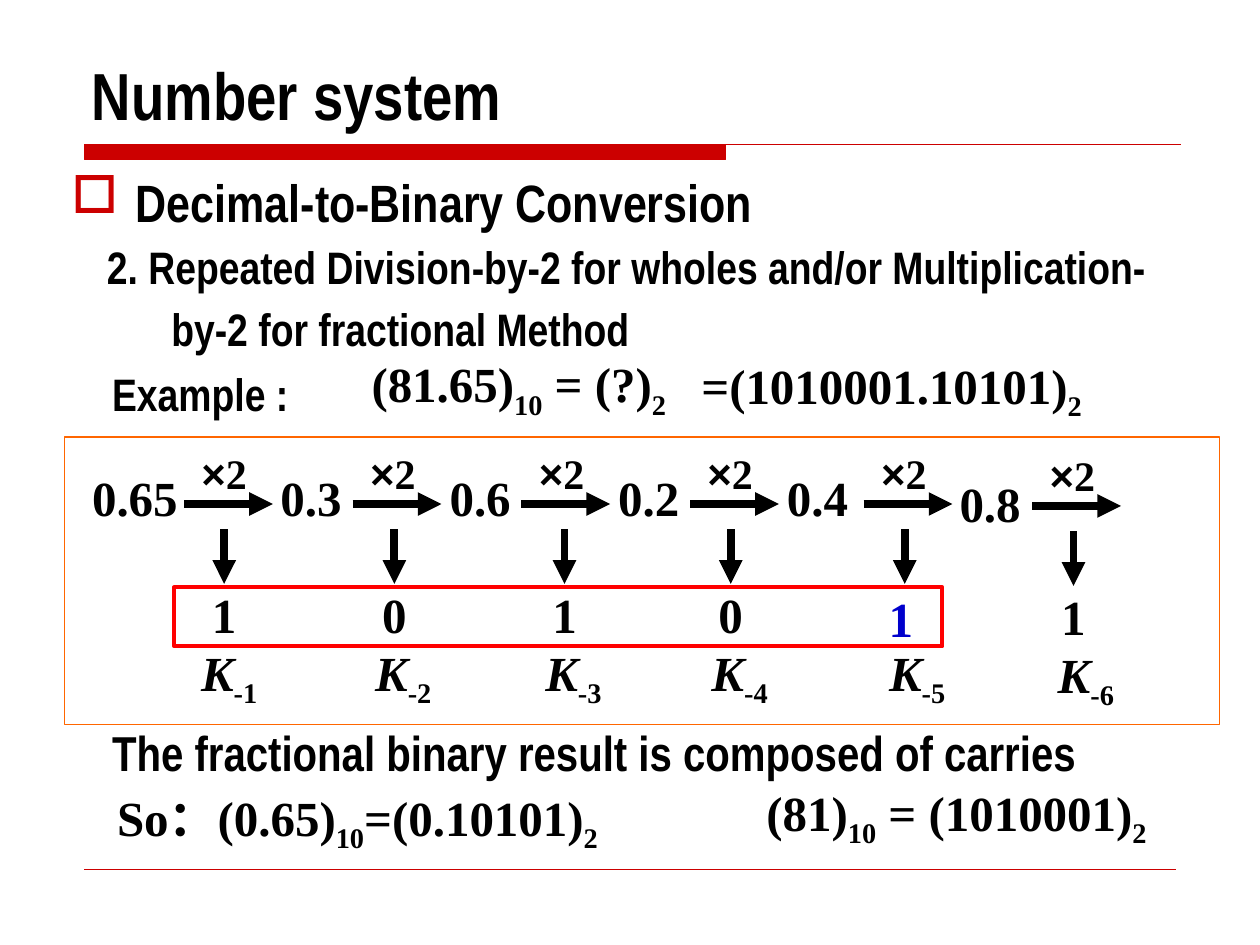
"""Build the number system slide."""
from lxml import etree
from pptx import Presentation
from pptx.dml.color import RGBColor
from pptx.enum import shapes, text
from pptx.oxml import ns
from pptx.util import Cm, Pt

ROMAN = {"name": "Times New Roman", "size": Pt(28), "bold": True, "italic": False}
NARROW = {**ROMAN, "name": "Arial Narrow"}
MID = {"alignment": text.PP_ALIGN.CENTER}
LEFT = {"alignment": text.PP_ALIGN.LEFT}

# value, its centre, arrow start, digit, its centre, centre of K, drop
STEPS = [
    ("0.65", 2.72, 3.71, "1", 4.52, 4.62, 0),
    ("0.3", 6.27, 7.11, "0", 7.95, 8.13, 0),
    ("0.6", 9.68, 10.51, "1", 11.38, 11.56, 0),
    ("0.2", 13.08, 13.91, "0", 14.73, 14.91, 0),
    ("0.4", 16.48, 17.41, "1", 18.24, 18.49, 0),
    ("0.8", 19.96, 20.81, "1", 21.64, 21.89, 0.04),
]


def color(code):
    """Turn a hex string into a colour."""
    return RGBColor.from_string(code)


def apply(item, fmt):
    """Set each attribute in a dict of format values."""
    for key, val in fmt.items():
        setattr(item, key, val)


def node(parent, tag, **attrs):
    """Append a drawing element with attributes."""
    return etree.SubElement(parent, ns.qn(tag), attrs)


def indent(para, left, hang, mark=None):
    """Give a paragraph a hanging indent and a bullet or none."""
    props = para._p.get_or_add_pPr()
    props.set("marL", str(Cm(left)))
    props.set("indent", str(-Cm(hang)))
    if mark:
        node(node(props, "a:buClr"), "a:srgbClr", val="CC0000")
        node(props, "a:buChar", char=mark)
    else:
        node(props, "a:buNone")


def lower(source):
    """Split text at bars; every second piece is a subscript."""
    return [(part, i % 2 == 1, {}) for i, part in enumerate(source.split("|"))]


def write(para, parts, font, fill="000000"):
    """Add formatted runs to a paragraph."""
    for words, sub, extra in parts:
        run = para.add_run()
        run.text = words
        apply(run.font, {**font, **extra})
        run.font.color.rgb = color(fill)
        if sub:
            run._r.get_or_add_rPr().set("baseline", "-25000")


def place(shape, left, top, wide, high):
    """Move and size a shape."""
    apply(shape, {"left": Cm(left), "top": Cm(top), "width": Cm(wide), "height": Cm(high)})


def label(slide, box, parts, font=ROMAN, para=LEFT, fill="000000",
          anchor=text.MSO_ANCHOR.MIDDLE):
    """Add a text box and return its paragraph."""
    frame = slide.shapes.add_textbox(*map(Cm, box)).text_frame
    apply(frame, {"word_wrap": True, "vertical_anchor": anchor})
    line = frame.paragraphs[0]
    apply(line, para)
    write(line, parts, font, fill)
    return line


def center(slide, mid, top, wide, high, parts, font=ROMAN, fill="000000"):
    """Add a text box centred on a place."""
    label(slide, (mid - wide / 2, top, wide, high), parts, font, MID, fill)


def rect(slide, box, edge, width, fill=None):
    """Add a plain rectangle."""
    shape = slide.shapes.add_shape(shapes.MSO_SHAPE.RECTANGLE, *map(Cm, box))
    shape.shadow.inherit = False
    if fill:
        shape.fill.solid()
        shape.fill.fore_color.rgb = color(fill)
    else:
        shape.fill.background()
    shape.line.color.rgb = color(edge)
    shape.line.width = Pt(width)


def rule(slide, ends, edge, width, arrow=False):
    """Add a straight line, with an arrowhead if asked."""
    link = slide.shapes.add_connector(shapes.MSO_CONNECTOR.STRAIGHT, *map(Cm, ends))
    link.line.color.rgb = color(edge)
    link.line.width = Pt(width)
    if arrow:
        node(link.line._get_or_add_ln(), "a:tailEnd", type="triangle")
    node(link._element.spPr, "a:effectLst")


def heads(slide):
    """Fill the title and body placeholders and the bullet line."""
    title, body = slide.shapes.title, slide.placeholders[1]
    place(title, 1.6, 0.71, 22.23, 2.11)
    place(body, 1.9, 4.52, 22.2, 2.79)
    for shape, anchor in ((title, text.MSO_ANCHOR.BOTTOM), (body, text.MSO_ANCHOR.TOP)):
        apply(shape.text_frame, {"auto_size": text.MSO_AUTO_SIZE.NONE,
                                 "vertical_anchor": anchor, "word_wrap": True})
    line = title.text_frame.paragraphs[0]
    apply(line, LEFT)
    write(line, lower("Number system"), {**NARROW, "size": Pt(38)})
    line = body.text_frame.paragraphs[0]
    apply(line, {"line_spacing": 1.15, "space_before": Pt(0)})
    indent(line, 1.3, 1.3)
    write(line, lower("2. Repeated Division-by-2 for wholes and/or "
                      "Multiplication-by-2 for fractional Method"),
          {**NARROW, "size": Pt(26)})
    line = label(slide, (1.19, 3.3, 22.23, 1.52), lower("Decimal-to-Binary Conversion"),
                 {**NARROW, "size": Pt(30)}, anchor=text.MSO_ANCHOR.TOP)
    indent(line, 1.3, 1.3, "□")


def step(slide, index, row):
    """Draw one multiplication with its carry."""
    value, mid, start, digit, spot, key, drop = row
    last = index == 5
    blue = index == 4
    center(slide, mid, 9.42 if last else 9.3, 2.4, 1.45, lower(value))
    rule(slide, (start, 10.16 + drop, start + 1.79, 10.16 + drop), "000000", 4.5, True)
    times = [("×", False, {"name": "Arial"}), ("2", False, {})]
    center(slide, start + 0.81, 8.89 + drop, 1.63, 1.27, times, {**ROMAN, "size": Pt(24)})
    rule(slide, (spot, 10.67 + drop, spot, 11.77 + drop), "000000", 4.5, True)
    center(slide, spot - 0.08 * blue, 11.66 + drop + 0.07 * blue, 1.2, 1.45,
           lower(digit), fill="0000CC" if blue else "000000")
    name = [("K", False, {"italic": True}), (f"-{index + 1}", True, {})]
    center(slide, key, 12.83 + drop, 2.4, 1.6, name)


def main():
    """Build and save the slide."""
    deck = Presentation()
    apply(deck, {"slide_width": Cm(25.4), "slide_height": Cm(19.05)})
    slide = deck.slides.add_slide(deck.slide_layouts[1])
    rect(slide, (1.7, 2.92, 12.93, 0.3), "CC0000", 0.75, "CC0000")
    rule(slide, (1.7, 2.92, 23.8, 2.92), "CC0000", 0.75)
    rule(slide, (1.7, 17.53, 23.7, 17.53), "CC0000", 0.25)
    heads(slide)
    label(slide, (2.01, 7.04, 4.5, 1.57), lower("Example :"), {**NARROW, "size": Pt(26)},
          {"line_spacing": 1.2}, anchor=text.MSO_ANCHOR.TOP)
    rect(slide, (1.3, 8.81, 23.29, 5.8), "FF6600", 0.75, "FFFFFF")
    for index, row in enumerate(STEPS):
        step(slide, index, row)
    rect(slide, (3.51, 11.84, 15.49, 1.19), "FF0000", 2.25)
    for left, top, wide, words in (
        (7.24, 7.01, 7.5, "(81.65)|10| = (?)|2"),
        (13.89, 7.04, 9.1, "=(1010001.10101)|2"),
        (2.11, 15.75, 12.1, "So：(0.65)|10|=(0.10101)|2"),
        (15.2, 15.65, 9, "(81)|10| = (1010001)|2"),
    ):
        label(slide, (left, top, wide, 1.6), lower(words))
    label(slide, (2.01, 14.43, 21.1, 1.45),
          lower("The fractional binary result is composed of carries"), NARROW)
    deck.save("out.pptx")


if __name__ == "__main__":
    main()
